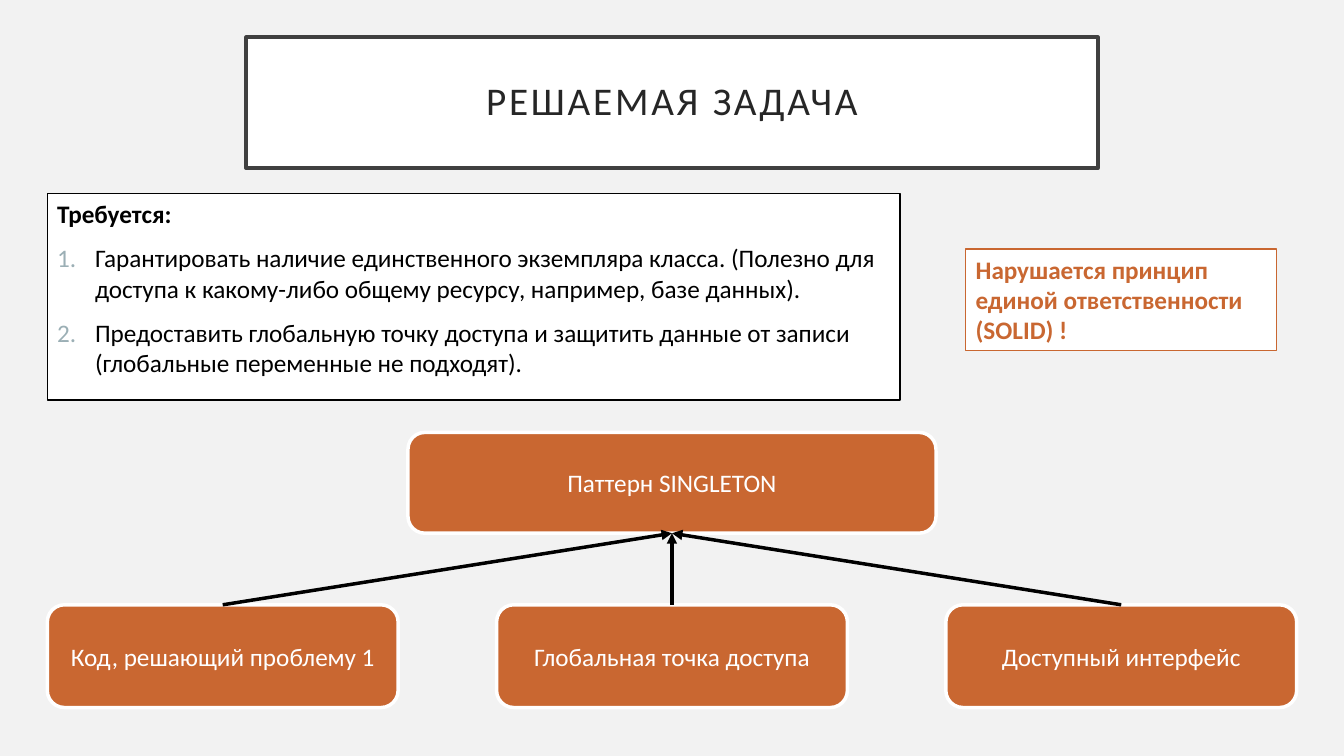
from lxml import etree
from pptx import Presentation
from pptx.dml.color import RGBColor
from pptx.enum.shapes import MSO_CONNECTOR, MSO_SHAPE
from pptx.enum.text import MSO_ANCHOR, MSO_AUTO_SIZE, PP_ALIGN
from pptx.oxml.ns import qn
from pptx.util import Pt

WHITE = RGBColor(0xFF, 0xFF, 0xFF)
BLACK = RGBColor(0x00, 0x00, 0x00)
ORANGE = RGBColor(0xC9, 0x67, 0x31)
BACKGROUND = RGBColor(0xF2, 0xF2, 0xF2)
TITLE_LINE = RGBColor(0x40, 0x40, 0x40)
TITLE_TEXT = RGBColor(0x26, 0x26, 0x26)
NUMBER_COLOR = RGBColor(0x9B, 0xAF, 0xB5)
CENTER, LEFT = PP_ALIGN.CENTER, PP_ALIGN.LEFT
MIDDLE, TOP = MSO_ANCHOR.MIDDLE, MSO_ANCHOR.TOP
NO_AUTOFIT = MSO_AUTO_SIZE.NONE
STRAIGHT = MSO_CONNECTOR.STRAIGHT
RECTANGLE, ROUNDED = MSO_SHAPE.RECTANGLE, MSO_SHAPE.ROUNDED_RECTANGLE


def style_shape(shape, fill, line, width, anchor):
    shape.fill.solid()
    shape.fill.fore_color.rgb = fill
    shape.line.color.rgb = line
    shape.line.width = Pt(width)
    frame = shape.text_frame
    settings = {"word_wrap": True, "auto_size": NO_AUTOFIT, "vertical_anchor": anchor}
    for name, value in settings.items():
        setattr(frame, name, value)


def write_text(paragraph, text, color, alignment, size=18, bold=False):
    paragraph.alignment = alignment
    run = paragraph.add_run()
    run.text = text
    settings = {"name": "Calibri", "size": Pt(size), "bold": bold}
    for name, value in settings.items():
        setattr(run.font, name, value)
    run.font.color.rgb = color
    return run


presentation = Presentation()
presentation.slide_width = Pt(960)
presentation.slide_height = Pt(540)
slide = presentation.slides.add_slide(presentation.slide_layouts[5])
slide.background.fill.solid()
slide.background.fill.fore_color.rgb = BACKGROUND
shapes = slide.shapes

title = shapes.title
placement = {"left": 175.8, "top": 26.6, "width": 608.4, "height": 93.6}
for name, value in placement.items():
    setattr(title, name, Pt(value))
style_shape(title, WHITE, TITLE_LINE, 2.5, MIDDLE)
for side in ("left", "top", "right", "bottom"):
    setattr(title.text_frame, f"margin_{side}", Pt(14.4))
title_paragraph = title.text_frame.paragraphs[0]
title_paragraph.line_spacing = 0.9
title_run = write_text(title_paragraph, "РЕШАЕМАЯ ЗАДАЧА", TITLE_TEXT, CENTER, 28)
title_run.font._element.set("spc", "200")

requirements = shapes.add_textbox(Pt(33.8), Pt(138.2), Pt(609), Pt(147.6))
style_shape(requirements, WHITE, BLACK, 1, TOP)
heading = requirements.text_frame.paragraphs[0]
heading.space_before = Pt(10)
write_text(heading, "Требуется:", BLACK, LEFT, bold=True)
requirement_texts = [
    "Гарантировать наличие единственного экземпляра класса. "
    "(Полезно для доступа к какому-либо общему ресурсу, например, базе данных).",
    "Предоставить глобальную точку доступа и защитить данные от записи "
    "(глобальные переменные не подходят).",
]
for text in requirement_texts:
    paragraph = requirements.text_frame.add_paragraph()
    paragraph.space_before = Pt(10)
    write_text(paragraph, text, BLACK, LEFT)
    properties = paragraph._p.get_or_add_pPr()
    properties.set("marL", str(Pt(27)))
    properties.set("indent", str(-Pt(27)))
    number_color = etree.SubElement(properties, qn("a:buClr"))
    etree.SubElement(number_color, qn("a:srgbClr"), val=str(NUMBER_COLOR))
    etree.SubElement(properties, qn("a:buFont"), typeface="+mj-lt")
    etree.SubElement(properties, qn("a:buAutoNum"), type="arabicPeriod")

boxes = []
box_rows = [
    ("Паттерн SINGLETON", 291.4, 308.9, 377.2, 72),
    ("Код, решающий проблему 1", 33.8, 432, 250.6, 73.4),
    ("Глобальная точка доступа", 354.7, 432, 250.6, 73.4),
    ("Доступный интерфейс", 675.6, 432, 250.6, 73.4),
]
for text, *position in box_rows:
    box = shapes.add_shape(ROUNDED, *map(Pt, position))
    box.shadow.inherit = False
    style_shape(box, ORANGE, WHITE, 2.5, MIDDLE)
    write_text(box.text_frame.paragraphs[0], text, WHITE, CENTER)
    boxes.append(box)

pattern, *parts = boxes
for part in parts:
    arrow = shapes.add_connector(STRAIGHT, 0, 0, 0, 0)
    arrow.begin_connect(part, 0)
    arrow.end_connect(pattern, 2)
    arrow.line.color.rgb = BLACK
    arrow.line.width = Pt(2.5)
    etree.SubElement(arrow.line._get_or_add_ln(), qn("a:tailEnd"), type="triangle")
    etree.SubElement(arrow._element.spPr, qn("a:effectLst"))

warning = shapes.add_shape(RECTANGLE, Pt(689.8), Pt(177.8), Pt(221.8), Pt(72.7))
warning.shadow.inherit = False
style_shape(warning, WHITE, ORANGE, 1, TOP)
warning_text = "Нарушается принцип единой ответственности (SOLID) !"
write_text(warning.text_frame.paragraphs[0], warning_text, ORANGE, LEFT, bold=True)

presentation.save("out.pptx")
